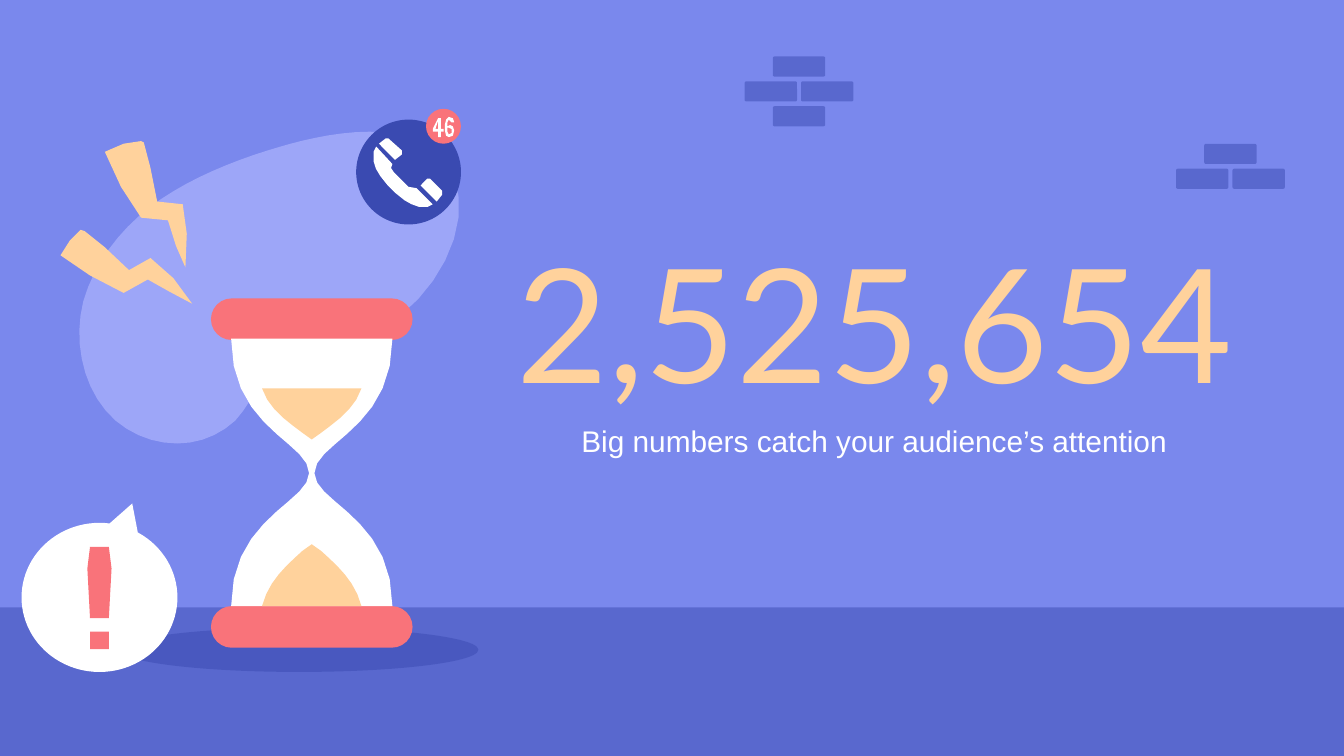
"""Builds a big-number slide with an hourglass, a call alert and a brick wall."""
import math

import pptx
import pptx.dml.color
import pptx.enum.shapes
import pptx.enum.text
import pptx.oxml.ns
import pptx.util
from lxml import etree

PERIWINKLE, LILAC, NAVY = "7A88ED", "9DA6F8", "3A4AB1"
CORAL, SAND, WHITE = "F9737A", "FFD29C", "FFFFFF"
KINDS = pptx.enum.shapes.MSO_SHAPE


def paint(fill, colour):
    fill.solid()
    fill.fore_color.rgb = pptx.dml.color.RGBColor.from_string(colour)


def trace(contour, unit):
    points = []
    for segment in contour.split(";"):
        numbers = [float(number) * unit for number in segment.split()]
        if len(numbers) == 2:
            points.append(tuple(numbers))
            continue
        corners = [points[-1], *zip(numbers[::2], numbers[1::2])]
        steps = min(9, math.ceil(math.dist(corners[0], corners[3]) / unit / 0.1))
        for step in range(1, steps + 1):
            t = step / steps
            weights = (1 - t) ** 3, 3 * t * (1 - t) ** 2, 3 * t * t * (1 - t), t ** 3
            points.append(tuple(sum(w * c[axis] for w, c in zip(weights, corners)) for axis in (0, 1)))
    return points


deck = pptx.Presentation()
deck.slide_width = pptx.util.Inches(10)
deck.slide_height = pptx.util.Inches(5.625)
column = deck.slide_width / 10
page = deck.slides.add_slide(deck.slide_layouts[5])
paint(page.background.fill, PERIWINKLE)

blob = ("2.75 .98; 3.02 .98 3.27 1.05 3.37 1.3; 3.56 1.75 3.13 2.36 2.72 2.49;"
        "2.51 2.55 2.26 2.54 2.08 2.68; 1.94 2.8 1.88 2.99 1.75 3.13;"
        "1.63 3.24 1.48 3.3 1.32 3.3; 1.15 3.3 .99 3.24 .86 3.13;"
        ".62 2.92 .54 2.55 .62 2.24; .71 1.93 .93 1.66 1.2 1.48;"
        "1.47 1.3 1.78 1.18 2.09 1.09; 2.26 1.04 2.51 .98 2.75 .98")
glass = ("1.72 2.52; 1.72 3.19 2.3 3.29 2.3 3.52; 2.3 3.74 1.72 3.85 1.72 4.51;"
         "2.92 4.51; 2.92 3.85 2.34 3.74 2.34 3.52; 2.34 3.29 2.92 3.19 2.92 2.52")
lower_sand = "2.32 4.05; 2.25 4.1; 2.13 4.21 2 4.32 1.95 4.51; 2.69 4.51; 2.64 4.32 2.51 4.21 2.39 4.1"
upper_sand = "1.95 2.89; 2 3.04 2.13 3.13 2.25 3.22; 2.32 3.27; 2.39 3.22; 2.51 3.13 2.64 3.04 2.69 2.89"
upper_bolt = ("1.05 1.05; .92 1.07; .78 1.13; .9 1.39; 1.05 1.62; 1.25 1.64; 1.31 1.83; 1.38 1.99;"
              "1.39 1.74; 1.36 1.52; 1.17 1.5; 1.12 1.25; 1.07 1.06")
lower_bolt = (".6 1.71; .52 1.79; .45 1.9; .67 2.05; .92 2.18; 1.1 2.08; 1.26 2.17; 1.43 2.26;"
              "1.29 2.07; 1.12 1.92; .96 2.01; .78 1.84; .63 1.72")
exclamation = ".67 4.07; .65 4.23; .67 4.6; .81 4.6; .83 4.23; .81 4.07"
handset = ("2.8 1.09; 2.78 1.13; 2.78 1.2; 2.79 1.24 2.8 1.27 2.83 1.31;"
           "2.88 1.38 2.94 1.44 3.01 1.49; 3.04 1.51 3.08 1.53 3.12 1.54;"
           "3.18 1.54; 3.22 1.52; 3.1 1.4; 3.04 1.39; 2.93 1.28; 2.91 1.25; 2.92 1.22")
mouthpiece = "3.18 1.33; 3.13 1.38; 3.25 1.5; 3.29 1.45; 3.29 1.42; 3.2 1.33"
earpiece = "2.87 1.03; 2.82 1.07; 2.94 1.19; 2.99 1.15; 2.99 1.12; 2.89 1.03"
four = ("3.26 .9; 3.26 .96; 3.24 .96 | 3.26 .88; 3.22 .96; 3.22 .98; 3.26 .98;"
        "3.26 1.02; 3.28 1.02; 3.28 .98; 3.3 .98; 3.3 .96; 3.28 .96; 3.28 .88")
six = ("3.34 .95; 3.36 .96; 3.36 .99; 3.34 1; 3.33 .98; 3.33 .95 |"
       "3.34 .87; 3.32 .89; 3.31 .93; 3.31 .97; 3.32 1.01; 3.34 1.02; 3.37 1.01; 3.38 .97;"
       "3.37 .94; 3.35 .93; 3.33 .94; 3.33 .91; 3.34 .89; 3.36 .91; 3.38 .91; 3.37 .88")

scene = [
    (KINDS.RECTANGLE, (0, 4.52, 10, 1.11), NAVY, {"alpha": 50}),
    (KINDS.OVAL, (0.89, 4.67, 2.67, 0.33), NAVY, {"alpha": 50}),
    (None, blob, LILAC, {}),
    (KINDS.ROUNDED_RECTANGLE, (1.57, 2.22, 1.5, 0.31), CORAL, {"adjust": [0.5]}),
    (KINDS.ROUNDED_RECTANGLE, (1.57, 4.51, 1.5, 0.31), CORAL, {"adjust": [0.5]}),
    (None, glass, WHITE, {}),
    (None, lower_sand, SAND, {}),
    (None, upper_sand, SAND, {}),
    (None, upper_bolt, SAND, {}),
    (None, lower_bolt, SAND, {}),
    (KINDS.OVAL_CALLOUT, (0.16, 3.89, 1.16, 1.11), WHITE, {"adjust": [-0.21, 0.63], "turn": 180}),
    (None, exclamation, CORAL, {}),
    (KINDS.RECTANGLE, (0.67, 4.7, 0.14, 0.13), CORAL, {}),
    (KINDS.OVAL, (2.65, 0.89, 0.78, 0.78), NAVY, {}),
    (None, handset, WHITE, {}),
    (None, mouthpiece, WHITE, {}),
    (None, earpiece, WHITE, {}),
    (KINDS.OVAL, (3.17, 0.81, 0.26, 0.26), CORAL, {}),
    (None, four, WHITE, {}),
    (None, six, WHITE, {}),
]

brick_step, course_step = 0.42 / 2, 0.37 / 2
walls = [(5.54, 0.42, [(1, 0), (2, 1), (0, 1), (1, 2)]), (8.75, 1.07, [(1, 0), (2, 1), (0, 1)])]
for left, top, bricks in walls:
    for across, down in bricks:
        place = (left + across * brick_step, top + down * course_step, 0.39, 0.15)
        scene.append((KINDS.ROUNDED_RECTANGLE, place, NAVY, {"alpha": 50, "adjust": [0.09]}))

for kind, geometry, colour, options in scene:
    if kind is None:
        contours = [trace(contour, column) for contour in geometry.split("|")]
        builder = page.shapes.build_freeform(*contours[0][0], scale=1.0)
        builder.add_line_segments(contours[0][1:], close=True)
        for contour in contours[1:]:
            builder.move_to(*contour[0])
            builder.add_line_segments(contour[1:], close=True)
        shape = builder.convert_to_shape()
    else:
        shape = page.shapes.add_shape(kind, *(round(length * column) for length in geometry))
    paint(shape.fill, colour)
    shape.line.fill.background()
    shape.shadow.inherit = False
    shape.rotation = options.get("turn", 0)
    for index, value in enumerate(options.get("adjust", [])):
        shape.adjustments[index] = value
    if "alpha" in options:
        tint = next(shape.element.iter(pptx.oxml.ns.qn("a:srgbClr")))
        etree.SubElement(tint, pptx.oxml.ns.qn("a:alpha")).set("val", str(options["alpha"] * 1000))

texts = [
    (page.shapes.title, "2,525,654", (3.66, 1.61, 5.69, 1.55), SAND,
     {"name": "Lato", "size": pptx.util.Pt(85)}, {}),
    (page.shapes.add_textbox(0, 0, 0, 0), "Big numbers catch your audience’s attention",
     (3.66, 3.11, 5.69, 0.29), WHITE, {"name": "Arial", "size": pptx.util.Pt(16)},
     {"line_spacing": 1.15, "space_after": pptx.util.Pt(12)}),
]
frame_format = {
    "word_wrap": True,
    "auto_size": pptx.enum.text.MSO_AUTO_SIZE.NONE,
    "vertical_anchor": pptx.enum.text.MSO_ANCHOR.MIDDLE,
    **{f"margin_{side}": round(column / 10) for side in ("left", "top", "right", "bottom")},
}
for box, words, place, colour, font_format, para_format in texts:
    for side, length in zip(("left", "top", "width", "height"), place):
        setattr(box, side, round(length * column))
    para = box.text_frame.paragraphs[0]
    span = para.add_run()
    span.text = words
    para_format = {"alignment": pptx.enum.text.PP_ALIGN.CENTER, **para_format}
    for target, values in ((box.text_frame, frame_format), (para, para_format), (span.font, font_format)):
        for name, value in values.items():
            setattr(target, name, value)
    paint(span.font.fill, colour)

deck.save("out.pptx")
